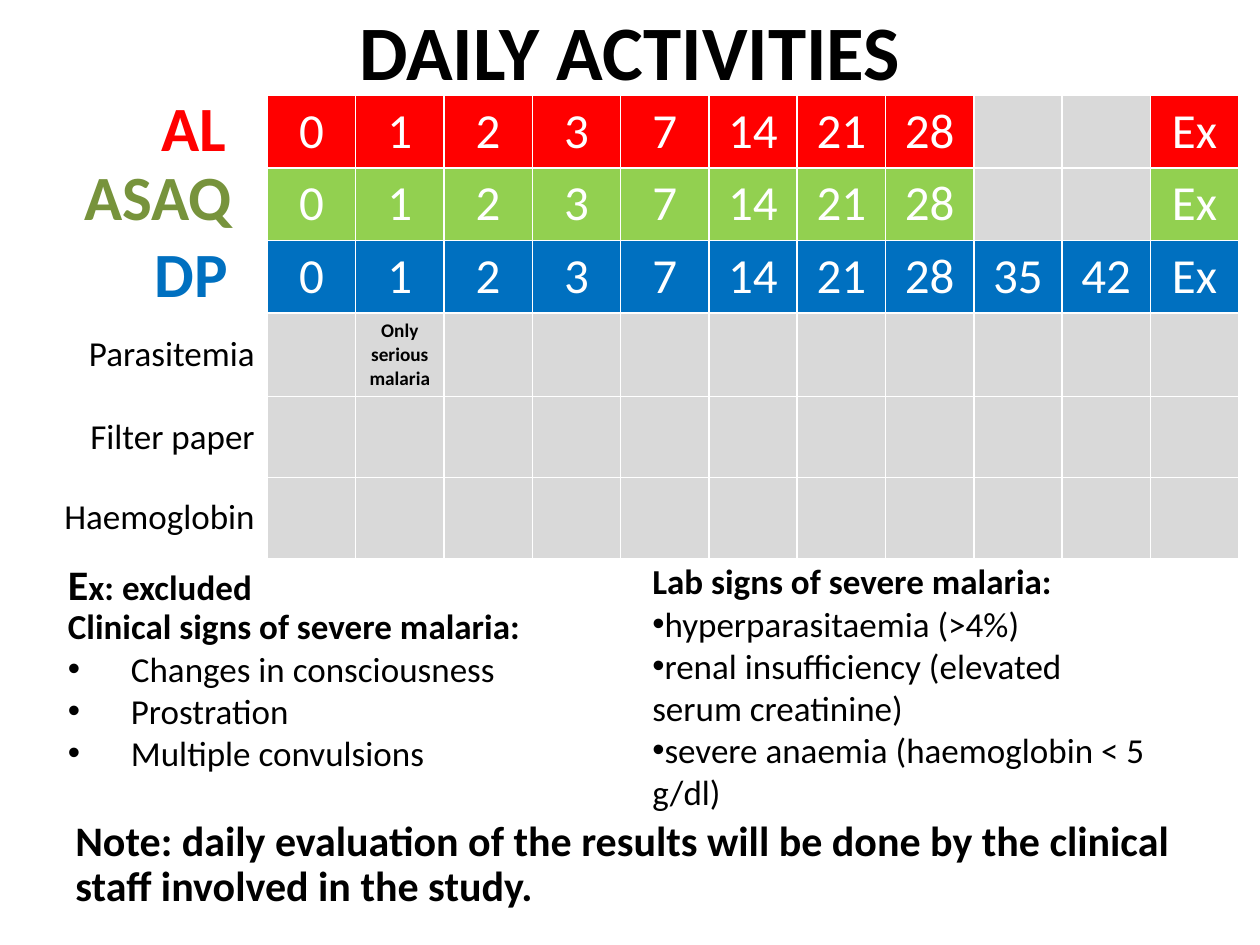
import pptx
import pptx.util
import pptx.dml.color
import pptx.enum.text
import pptx.oxml.ns
import lxml.etree

Cm, Pt = pptx.util.Cm, pptx.util.Pt
RGBColor = pptx.dml.color.RGBColor
ALIGN = pptx.enum.text.PP_ALIGN
ANCHOR = pptx.enum.text.MSO_ANCHOR
FIT = pptx.enum.text.MSO_AUTO_SIZE

BLACK = RGBColor(0x00, 0x00, 0x00)
WHITE = RGBColor(0xFF, 0xFF, 0xFF)
RED = RGBColor(0xFF, 0x00, 0x00)
GREEN = RGBColor(0x92, 0xD0, 0x50)
OLIVE = RGBColor(0x77, 0x93, 0x3C)
BLUE = RGBColor(0x00, 0x70, 0xC0)
GREY = RGBColor(0xD9, 0xD9, 0xD9)


def write(para, text, size=20, color=BLACK, bold=False, align=None,
          space=None, indent=None):
    """Add a run; an indent in cm makes the paragraph a bullet."""
    if indent is not None:
        props = para._p.get_or_add_pPr()
        props.set("marL", str(Cm(indent)))
        props.set("indent", str(-Cm(indent)))
        qn = pptx.oxml.ns.qn
        lxml.etree.SubElement(props, qn("a:buFont"), typeface="Arial")
        lxml.etree.SubElement(props, qn("a:buChar"), char="•")
    if align is not None:
        para.alignment = align
    if space is not None:
        para.line_spacing = space
    run = para.add_run()
    run.text = text
    run.font.name = "Calibri"
    run.font.size = Pt(size)
    run.font.bold = bold
    run.font.color.rgb = color


class Deck:
    def __init__(self):
        self.prs = pptx.Presentation()
        self.prs.slide_width, self.prs.slide_height = Cm(25.4), Cm(19.05)
        self.slide = self.prs.slides.add_slide(self.prs.slide_layouts[6])

    def box(self, left, top, width, height, wrap=True, grow=True):
        shape = self.slide.shapes.add_textbox(
            Cm(left), Cm(top), Cm(width), Cm(height))
        frame = shape.text_frame
        frame.word_wrap = wrap
        frame.auto_size = FIT.SHAPE_TO_FIT_TEXT if grow else FIT.NONE
        return frame

    def label(self, text, left, top, width, color, wrap=False):
        frame = self.box(left, top, width, 1.8, wrap)
        write(frame.paragraphs[0], text, size=36, color=color, bold=True)

    def bullets(self, frame, items, indent):
        for item in items:
            write(frame.add_paragraph(), item, indent=indent)

    def grid(self, left, top, widths, heights):
        shape = self.slide.shapes.add_table(
            len(heights), len(widths), Cm(left), Cm(top),
            Cm(sum(widths)), Cm(sum(heights)))
        table = shape.table
        table.first_row = table.horz_banding = False
        for col, width in zip(table.columns, widths):
            col.width = Cm(width)
        for row, height in zip(table.rows, heights):
            row.height = Cm(height)
        return table

    def cell(self, cell, fill, text="", **style):
        cell.fill.solid()
        cell.fill.fore_color.rgb = fill
        cell.vertical_anchor = ANCHOR.MIDDLE
        if text:
            write(cell.text_frame.paragraphs[0], text, **style)


def main():
    deck = Deck()

    # Title
    title = deck.box(1.27, -0.58, 22.86, 3.18, grow=False)
    title.vertical_anchor = ANCHOR.MIDDLE
    write(title.paragraphs[0], "DAILY ACTIVITIES", size=44, bold=True,
          align=ALIGN.CENTER)

    # Schedule: day rows, then test rows
    days = ["0", "1", "2", "3", "7", "14", "21", "28"]
    arms = [
        (RED, days + ["", "", "Ex"]),
        (GREEN, days + ["", "", "Ex"]),
        (BLUE, days + ["35", "42", "Ex"]),
    ]
    tests = ["Parasitemia", "Filter paper", "Haemoglobin"]
    table = deck.grid(0.46, 1.92, [4.93] + [1.78] * 11,
                      [1.46] * 3 + [1.69] + [1.63] * 2)
    for r, (color, marks) in enumerate(arms):
        deck.cell(table.cell(r, 0), WHITE)
        for c, mark in enumerate(marks, 1):
            deck.cell(table.cell(r, c), color if mark else GREY, mark,
                      size=28, color=WHITE, align=ALIGN.CENTER)
    for r, test in enumerate(tests, len(arms)):
        deck.cell(table.cell(r, 0), WHITE, test, align=ALIGN.RIGHT)
        for c in range(1, 12):
            deck.cell(table.cell(r, c), GREY)
    write(table.cell(3, 2).text_frame.paragraphs[0], "Only serious malaria",
          size=11, bold=True, align=ALIGN.CENTER)

    # Names of the treatment arms
    deck.label("AL", 3, 1.65, 2.03, RED, wrap=True)
    deck.label("ASAQ", 1.45, 3.05, 3.58, OLIVE)
    deck.label("DP", 2.87, 4.6, 2.13, BLUE)

    # Note
    note = deck.box(1.27, 16.41, 22.86, 2.11)
    write(note.paragraphs[0],
          "Note: daily evaluation of the results will be done by the "
          "clinical staff involved in the study.",
          size=24, bold=True, space=0.9)

    # Clinical signs
    signs = deck.box(1.12, 11.25, 10.64, 5.28)
    first = signs.paragraphs[0]
    write(first, "E", size=24, bold=True, space=0.9)
    write(first, "x: excluded", bold=True)
    write(signs.add_paragraph(), "Clinical signs of severe malaria:",
          bold=True, space=0.9)
    deck.bullets(signs, ["Changes in consciousness", "Prostration",
                         "Multiple convulsions"], 1.27)

    # Lab signs
    labs = deck.box(12.9, 11.25, 10.64, 6.93)
    write(labs.paragraphs[0], "Lab signs of severe malaria:",
          bold=True, space=0.9)
    deck.bullets(labs, ["hyperparasitaemia (>4%)",
                        "renal insufficiency (elevated serum creatinine)",
                        "severe anaemia (haemoglobin < 5 g/dl)"], 0)

    deck.prs.save("out.pptx")


if __name__ == "__main__":
    main()
